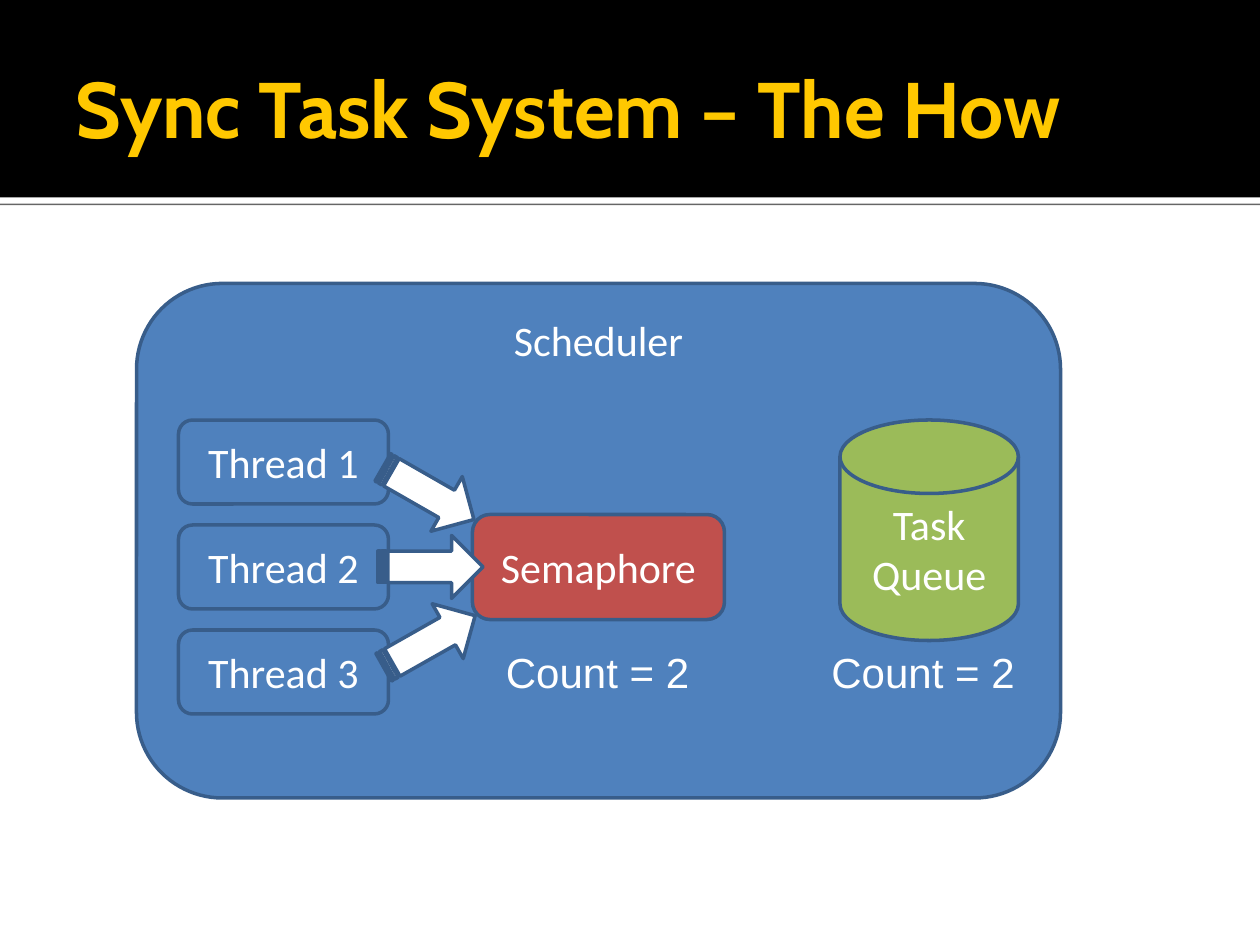
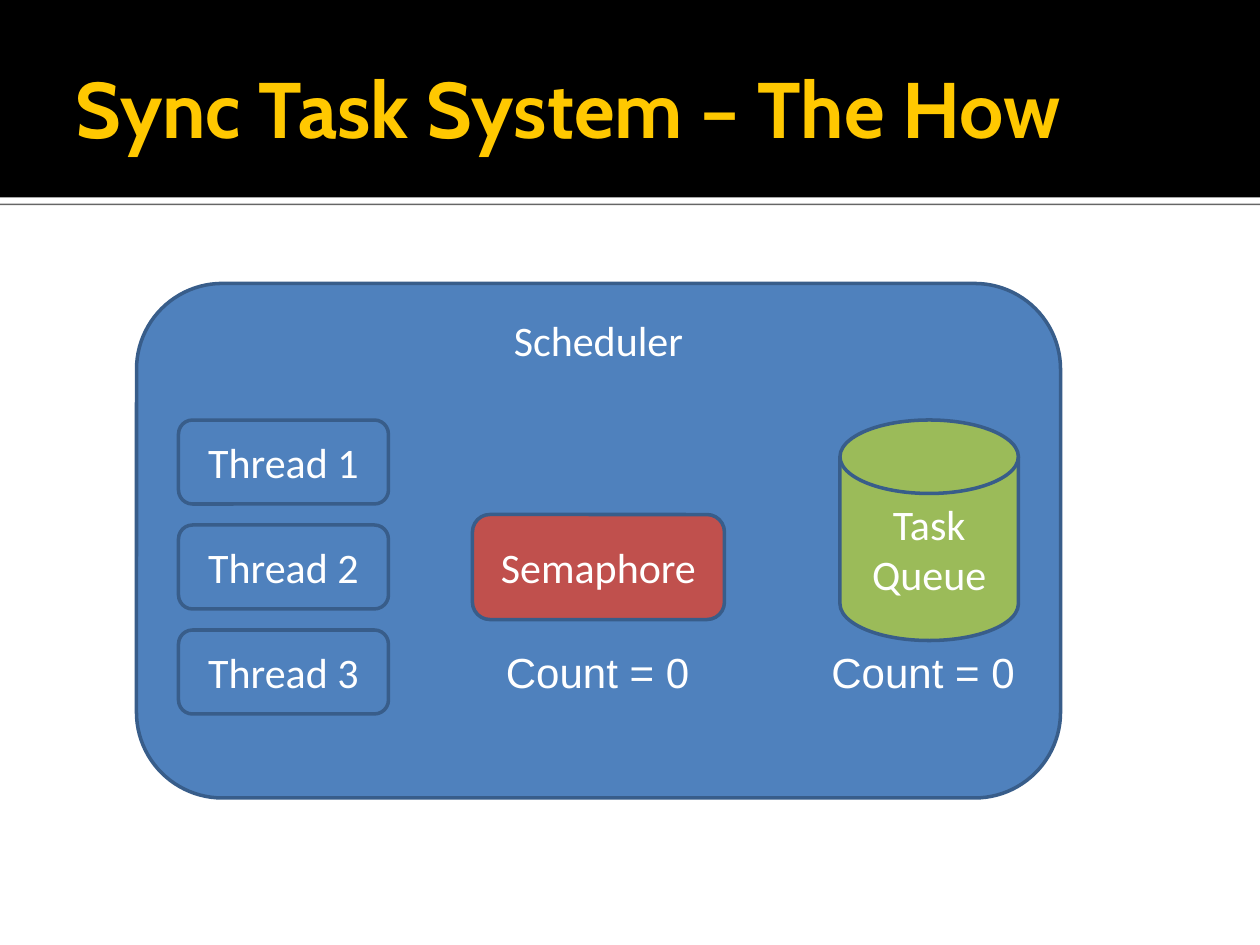
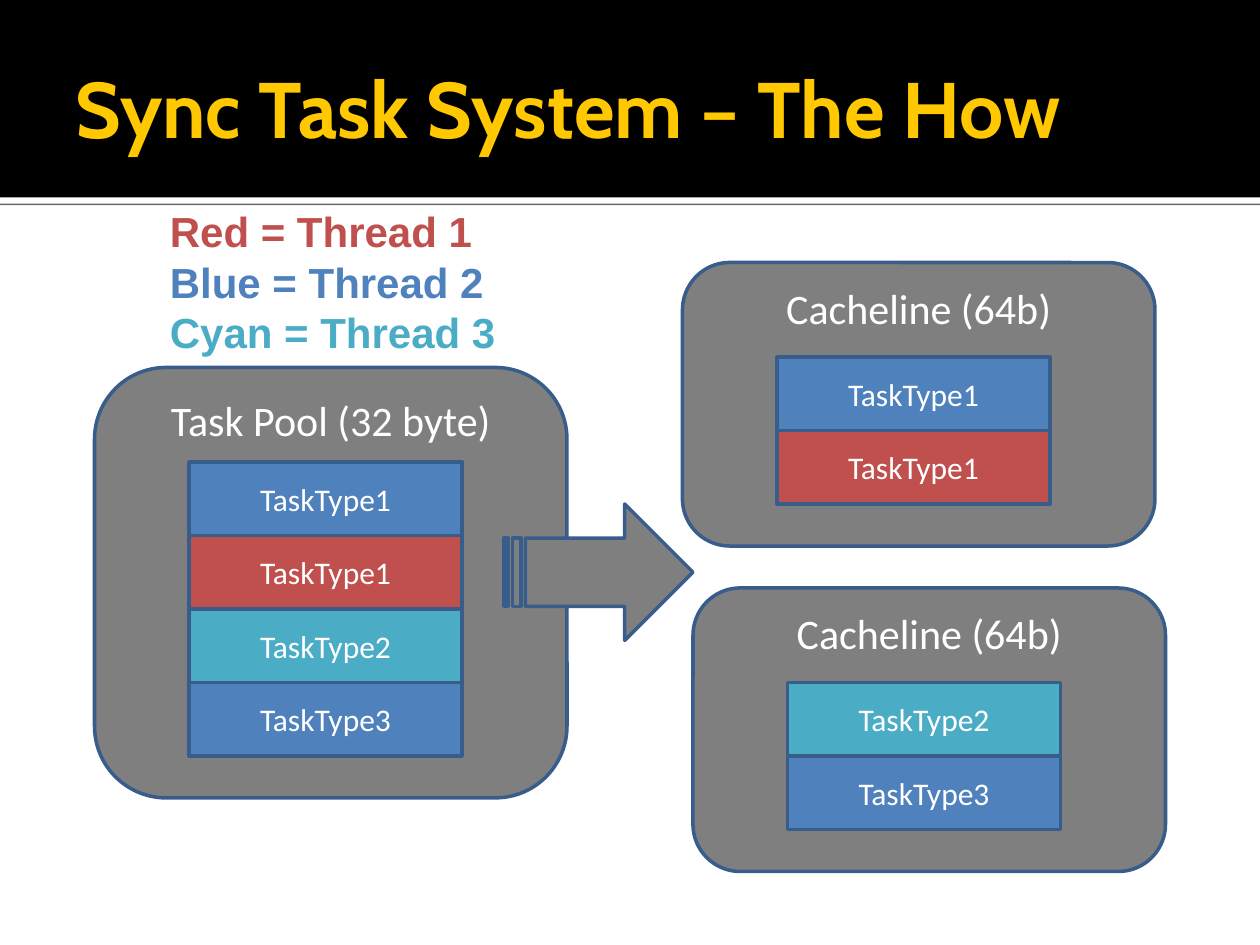
from dataclasses import dataclass

from lxml.etree import SubElement
from pptx import Presentation
from pptx.dml.color import RGBColor
from pptx.enum.shapes import MSO_SHAPE as Preset
from pptx.enum.text import MSO_ANCHOR as Anchor, PP_ALIGN as Align
from pptx.oxml.ns import qn
from pptx.util import Inches, Pt

COLUMNS, ROWS, CELLS_PER_INCH = 120, 90, 12
BLACK, WHITE, GOLD, GREY = "000000", "FFFFFF", "FFC800", "7F7F7F"
BLUE, RED, CYAN, GREEN, OUTLINE = "4F81BD", "C0504D", "4BACC6", "9BBB59", "385D8A"
TITLE = "Sync Task System – The How"
TASK_ROWS = 7


@dataclass
class Box:
    left: float
    top: float
    width: float
    height: float

    def inner(self, column, row, width, height):
        return Box(self.left + column, self.top + row, width, height)

    def emu(self):
        cells = (self.left, self.top, self.width, self.height)
        return [Inches(cell / CELLS_PER_INCH) for cell in cells]


def color(hex_code):
    return RGBColor.from_string(hex_code)


def write(frame, lines, size, font, colors, bold=False, align=Align.LEFT, anchor=Anchor.TOP):
    frame.word_wrap = True
    frame.vertical_anchor = anchor
    frame.text = "\n".join(lines)
    for paragraph, hex_code in zip(frame.paragraphs, colors):
        paragraph.alignment = align
        for run in paragraph.runs:
            run.font.name = font
            run.font.size = Pt(size)
            run.font.bold = bold
            run.font.color.rgb = color(hex_code)


def add_text(slide, box, lines, size, font, colors, **style):
    frame = slide.shapes.add_textbox(*box.emu()).text_frame
    write(frame, lines, size, font, colors, **style)
    return frame


def add_block(slide, preset, box, fill, label="", size=24, anchor=Anchor.MIDDLE, outline=OUTLINE):
    block = slide.shapes.add_shape(preset, *box.emu())
    block.shadow.inherit = False
    block.fill.solid()
    block.fill.fore_color.rgb = color(fill)
    if outline:
        block.line.color.rgb = color(outline)
        block.line.width = Pt(2)
    else:
        block.line.fill.background()
    if label:
        write(block.text_frame, [label], size, "Calibri", [WHITE],
              align=Align.CENTER, anchor=anchor)
    return block


def add_arrow(slide, box, fill, angle=0):
    arrow = add_block(slide, Preset.STRIPED_RIGHT_ARROW, box, fill)
    arrow.rotation = angle


def add_rule_shadow(rule):
    effects = rule._element.spPr.find(qn("a:effectLst"))
    shadow = SubElement(effects, qn("a:outerShdw"), blurRad="0", dist=str(Pt(0.8)),
                        dir="5400000", algn="ctr", rotWithShape="0")
    tint = SubElement(shadow, qn("a:srgbClr"), val=BLACK)
    SubElement(tint, qn("a:alpha"), val="60000")


def add_header(slide, box):
    strip = box.inner(0, box.height, box.width, 0.6)
    rule = add_block(slide, Preset.RECTANGLE, strip, WHITE, outline=None)
    add_rule_shadow(rule)
    add_block(slide, Preset.RECTANGLE, box, BLACK, outline=None)
    heading = box.inner(6, 2, box.width - 12, 16.4)
    frame = add_text(slide, heading, [TITLE], 45, "Cabin", [GOLD],
                     bold=True, anchor=Anchor.MIDDLE)
    frame.margin_right = Inches(0.05)


def new_slide(deck):
    slide = deck.slides.add_slide(deck.slide_layouts[6])
    add_header(slide, Box(0, 0, COLUMNS, 18.8))
    return slide


def add_threads(slide, box, count):
    pitch = box.height / count
    for index in range(count):
        thread = box.inner(0, index * pitch, box.width, pitch - 2)
        add_block(slide, Preset.ROUNDED_RECTANGLE, thread, BLUE, f"Thread {index + 1}")


def add_signals(slide, box):
    for column, row, angle in ((-0.2, 0, 29.8), (0, 7, 0), (-0.1, 14.1, 330.5)):
        add_arrow(slide, box.inner(column, row, 10, 6), WHITE, angle)


def add_scheduler(slide, box, count, signalled):
    add_block(slide, Preset.ROUNDED_RECTANGLE, box, BLUE, "Scheduler", anchor=Anchor.TOP)
    add_block(slide, Preset.FLOWCHART_MAGNETIC_DISK, box.inner(67, 13, 17, 21),
              GREEN, "Task Queue")
    add_block(slide, Preset.ROUNDED_RECTANGLE, box.inner(32, 22, 24, 10), RED, "Semaphore")
    add_threads(slide, box.inner(4, 13, 20, 30), 3)
    if signalled:
        add_signals(slide, box.inner(23, 17, 10, 20))
    for column in (65, 34):
        add_text(slide, box.inner(column, 34, 20, 6), [f"Count = {count}"],
                 24, "Arial", [WHITE])


def add_task_group(slide, box, heading, tasks):
    add_block(slide, Preset.ROUNDED_RECTANGLE, box, GREY, heading, anchor=Anchor.TOP)
    for index, (task, fill) in enumerate(tasks):
        cell = box.inner(9, 9 + index * TASK_ROWS, 26, TASK_ROWS)
        add_block(slide, Preset.RECTANGLE, cell, fill, task, size=18)


def add_task_pool(slide, box):
    tasks = [("TaskType1", BLUE), ("TaskType1", RED), ("TaskType2", CYAN), ("TaskType3", BLUE)]
    add_task_group(slide, box.inner(0, 16, 45, 41), "Task Pool (32 byte)", tasks)
    add_task_group(slide, box.inner(56, 6, 45, 27), "Cacheline (64b)", tasks[:2])
    add_task_group(slide, box.inner(57, 37, 45, 27), "Cacheline (64b)", tasks[2:])
    add_arrow(slide, box.inner(39, 29, 18, 13), GREY)
    add_text(slide, box.inner(6, 0, 36, 15.6),
             ["Red = Thread 1", "Blue = Thread 2", "Cyan = Thread 3"],
             24, "Arial", [RED, BLUE, CYAN], bold=True)


def main():
    deck = Presentation()
    deck.slide_width = Inches(COLUMNS / CELLS_PER_INCH)
    deck.slide_height = Inches(ROWS / CELLS_PER_INCH)
    for count, signalled in ((2, True), (0, False)):
        add_scheduler(new_slide(deck), Box(13, 27, 88, 49), count, signalled)
    add_task_pool(new_slide(deck), Box(9, 19, 102, 64))
    deck.save("out.pptx")


if __name__ == "__main__":
    main()
